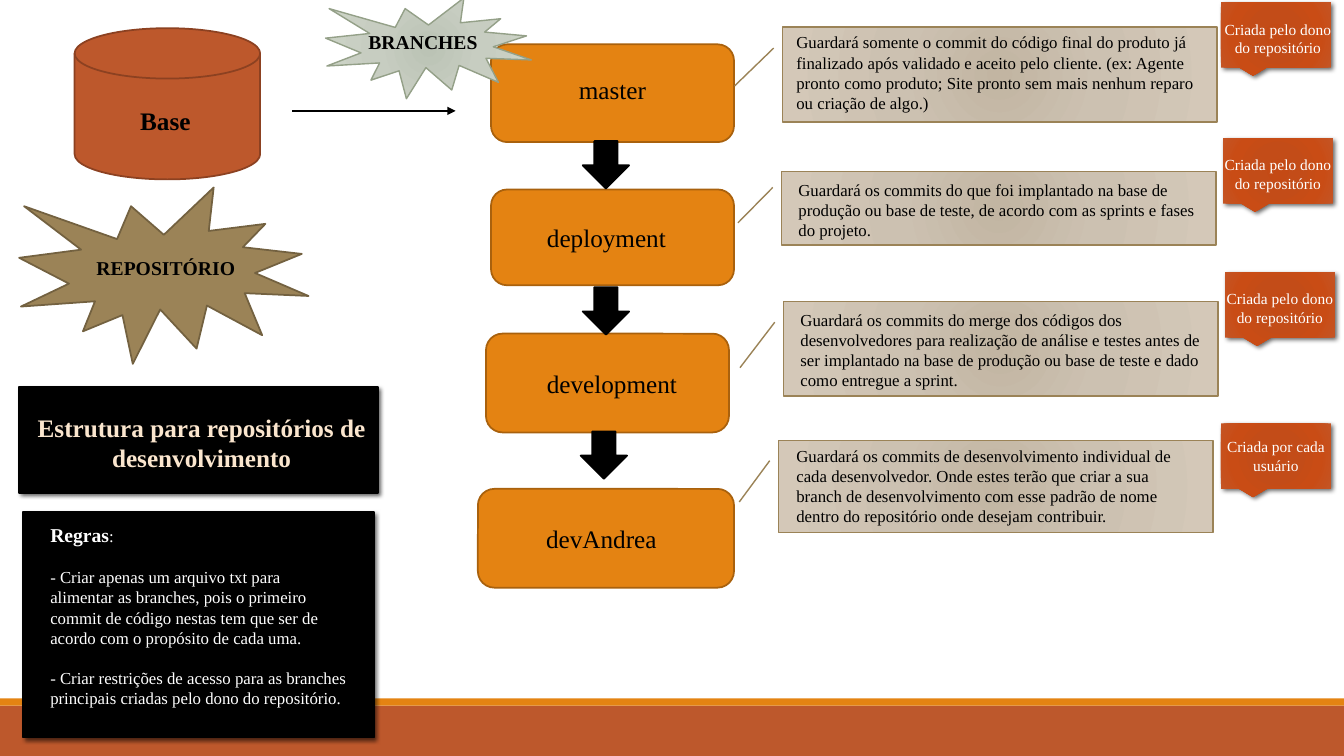
from dataclasses import dataclass
from lxml import etree
from pptx import Presentation, util as u
from pptx.dml.color import RGBColor
from pptx.enum import shapes as sh, text as tx
from pptx.oxml import parse_xml
from pptx.oxml.ns import nsdecls, qn

PX = 9144  # 100 px to the inch
KIND = sh.MSO_SHAPE


@dataclass(frozen=True)
class Theme:
    font: str = "Times New Roman"
    big: int = 18
    mid: int = 14
    body: int = 12
    small: int = 11
    black: str = "000000"
    white: str = "FFFFFF"
    cream: str = "FBE6CE"
    orange: str = "E48312"
    amber: str = "A9610D"
    rust: str = "BD582C"
    brown: str = "8C4121"
    tan: str = "9B8357"
    umber: str = "736140"
    sage: str = "94A088"
    leaf: tuple = ((0, "BBC3B5"), (45, "C7CDC1"), (100, "CDD4C7"))
    sand: tuple = ((0, "C2B5A2"), (45, "CCC1B1"), (100, "D4C8B8"))
    fire: tuple = ((0, "C44A15"), (34, "C34C18"), (70, "C94C15"), (100, "C45525"))


T = Theme()


def px(*vals):
    return [u.Emu(v * PX) for v in vals]


def blend(shape, stops):
    """Fill a shape with a radial gradient."""
    shape.fill.gradient()
    old = shape.element.spPr.find(qn("a:gradFill"))
    marks = "".join(f'<a:gs pos="{at * 1000}"><a:srgbClr val="{hue}"/></a:gs>'
                    for at, hue in stops)
    new = parse_xml(
        f'<a:gradFill {nsdecls("a")} rotWithShape="1"><a:gsLst>{marks}</a:gsLst>'
        '<a:path path="circle"><a:fillToRect l="100000" t="100000" r="100000" '
        'b="100000"/></a:path></a:gradFill>')
    old.getparent().replace(old, new)


def shade(shape, blur=3):
    """Give a shape a soft shadow, blur in points."""
    shape.element.spPr.find(qn("a:effectLst")).append(parse_xml(
        f'<a:outerShdw {nsdecls("a")} blurRad="{int(blur * 12700)}" dist="25400" '
        'dir="2700000" rotWithShape="0"><a:srgbClr val="000000">'
        '<a:alpha val="60000"/></a:srgbClr></a:outerShdw>'))


def draw(slide, kind, box, fill, edge=None, width=1.25):
    shape = slide.shapes.add_shape(kind, *px(*box))
    shape.shadow.inherit = False
    if isinstance(fill, tuple):
        blend(shape, fill)
    else:
        shape.fill.solid()
        shape.fill.fore_color.rgb = RGBColor.from_string(fill)
    if edge:
        shape.line.color.rgb = RGBColor.from_string(edge)
        shape.line.width = u.Pt(width)
    else:
        shape.line.fill.background()
    return shape


def style(run, size, hue, bold=False):
    font = run.font
    font.name, font.size, font.bold = T.font, u.Pt(size), bold
    font.color.rgb = RGBColor.from_string(hue)


def write(slide, box, words, size, hue=T.black, bold=False, left=False):
    frame = slide.shapes.add_textbox(*px(*box)).text_frame
    frame.word_wrap = True
    frame.auto_size = tx.MSO_AUTO_SIZE.SHAPE_TO_FIT_TEXT
    frame.text = words
    for para in frame.paragraphs:
        para.alignment = tx.PP_ALIGN.LEFT if left else tx.PP_ALIGN.CENTER
        for run in para.runs:
            style(run, size, hue, bold)
    return frame


def footer(slide, x, y, w, h):
    draw(slide, KIND.RECTANGLE, (x, y + 7, w, h - 7), T.rust)
    draw(slide, KIND.RECTANGLE, (x, y, w, 7), T.orange)


def store(slide, x, y, w, h):
    """Repository disk, its star and the arrow to the branches."""
    draw(slide, KIND.FLOWCHART_MAGNETIC_DISK, (x, y, w, h), T.rust, T.brown)
    write(slide, (x + 29, y + 72, 122, 41), "Base", T.big, bold=True)
    draw(slide, KIND.EXPLOSION1, (x - 55, y + 158, 287, 175), T.tan, T.umber)
    write(slide, (x + 11, y + 221, 159, 34), "REPOSITÓRIO", T.mid, bold=True)
    line = slide.shapes.add_connector(
        sh.MSO_CONNECTOR.STRAIGHT, *px(x + 216, y + 82, x + 378, y + 82))
    line.line.color.rgb = RGBColor.from_string(T.black)
    line.line.width = u.Pt(1)
    props = line.element.spPr
    etree.SubElement(props.find(qn("a:ln")), qn("a:tailEnd"), type="triangle")
    etree.SubElement(props, qn("a:effectLst"))


def flow(slide, x, y):
    """Chain of branches under the star that names them."""
    # branch: box, then label offset and width
    for name, box, label in (
            ("master", (13, 0, 241, 97), (40, 25, 161)),
            ("deployment", (13, 144, 241, 95), (34, 28, 161)),
            ("development", (8, 287, 241, 98), (31, 29, 188)),
            ("devAndrea", (0, 441, 254, 98), (42, 29, 161))):
        left, top, w, h = box
        draw(slide, KIND.ROUNDED_RECTANGLE, (x + left, y + top, w, h), T.orange, T.amber)
        dx, dy, span = label
        write(slide, (x + left + dx, y + top + dy, span, 40), name, T.big)
    for left, top in ((104, 96), (104, 241), (102, 384)):
        draw(slide, KIND.DOWN_ARROW, (x + left, y + top, 46, 47), T.black, T.black)
    draw(slide, KIND.EXPLOSION1, (x - 151, y - 46, 204, 100), T.leaf, T.sage, 1)
    write(slide, (x - 142, y - 19, 175, 34), "BRANCHES", T.mid, bold=True)


def title(slide, x, y, w, h):
    shade(draw(slide, KIND.RECTANGLE, (x, y, w, h), T.black, T.black, 1))
    write(slide, (x + 3, y + 20, w, 71),
          "Estrutura para repositórios de desenvolvimento", T.big, T.cream, True)


def rules(slide, x, y, w, h):
    shade(draw(slide, KIND.RECTANGLE, (x, y, w, h), T.black, T.black, 1))
    frame = write(
        slide, (x + 17, y + 6, w - 33, h - 9),
        "Regras\n"
        "- Criar apenas um arquivo txt para alimentar as branches, pois o primeiro "
        "commit de código nestas tem que ser de acordo com o propósito de cada uma.\n"
        "- Criar restrições de acesso para as branches principais criadas pelo dono "
        "do repositório.", T.body, T.white, left=True)
    head, *items = frame.paragraphs
    style(head.runs[0], T.mid, T.white, True)
    colon = head.add_run()
    colon.text = ":"
    style(colon, T.body, T.white)
    for item in items:
        item.space_before = u.Pt(14.5)


def note(slide, box, shift, tip, words):
    x, y, w, h = box
    call = draw(slide, KIND.LINE_CALLOUT_1, box, T.sand, T.tan, 1)
    for i, val in enumerate((0.22, -0.02, *tip)):
        call.adjustments[i] = val
    dx, dy = shift
    write(slide, (x + dx, y + dy, 418, h - 3), words, T.body, left=True)


def tag(slide, x, y, shift, words):
    shade(draw(slide, KIND.RECTANGULAR_CALLOUT, (x, y, 109, 65), T.fire), 3.5)
    dx, dy = shift
    write(slide, (x + dx, y + dy, 137, 47), words, T.small, T.white)


def build():
    deck = Presentation()
    deck.slide_width, deck.slide_height = px(1333, 750)
    slide = deck.slides.add_slide(deck.slide_layouts[6])
    footer(slide, 0, 693, 1333, 57)
    store(slide, 74, 28, 184, 150)
    flow(slide, 474, 44)
    title(slide, 19, 384, 356, 105)
    rules(slide, 23, 508, 348, 224)

    # What each branch keeps
    note(slide, (776, 27, 431, 94), (4, 0), (0.62, -0.11),
         "Guardará somente o commit do código final do produto já finalizado após "
         "validado e aceito pelo cliente. (ex: Agente pronto como produto; Site pronto "
         "sem mais nenhum reparo ou criação de algo.)")
    note(slide, (775, 170, 431, 73), (7, 3), (0.7, -0.1),
         "Guardará os commits do que foi implantado na base de produção ou base de "
         "teste, de acordo com as sprints e fases do projeto.")
    note(slide, (777, 299, 431, 94), (7, 3), (0.7, -0.1),
         "Guardará os commits do merge dos códigos dos desenvolvedores para realização "
         "de análise e testes antes de ser implantado na base de produção ou base de "
         "teste e dado como entregue a sprint.")
    note(slide, (772, 437, 431, 91), (8, 0), (0.67, -0.09),
         "Guardará os commits de desenvolvimento individual de cada desenvolvedor. Onde "
         "estes terão que criar a sua branch de desenvolvimento com esse padrão de nome "
         "dentro do repositório onde desejam contribuir.")

    # Who creates each branch
    owner = "Criada pelo dono do repositório"
    tag(slide, 1211, 2, (-12, 13), owner)
    tag(slide, 1213, 137, (-14, 12), owner)
    tag(slide, 1215, 270, (-14, 12), owner)
    tag(slide, 1211, 420, (-14, 9), "Criada por cada usuário")
    deck.save("out.pptx")


if __name__ == "__main__":
    build()
